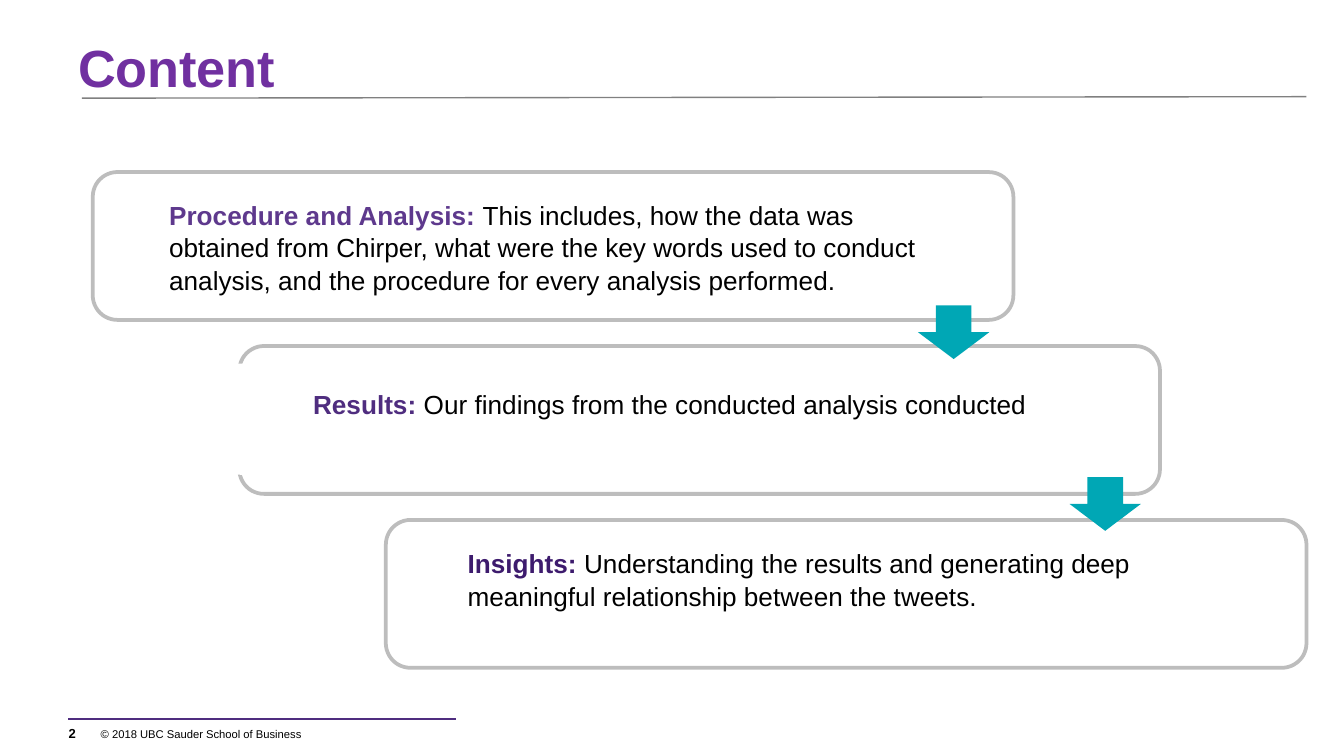
from dataclasses import dataclass

from lxml.etree import SubElement
from pptx import Presentation
from pptx.dml.color import RGBColor
from pptx.enum.shapes import MSO_CONNECTOR as Connector
from pptx.enum.shapes import MSO_SHAPE as Preset
from pptx.enum.text import MSO_ANCHOR as Anchor
from pptx.enum.text import MSO_AUTO_SIZE as AutoSize
from pptx.enum.text import PP_ALIGN as Align
from pptx.oxml.ns import qn
from pptx.util import Pt

FONT = "Arial"
BLACK, WHITE = "000000", "FFFFFF"
CARD_LEFT, CARD_TOP = 49.7, 92.2
CARD_STEP_X, CARD_STEP_Y = 78.5, 93.2
CARD_WIDTH, CARD_HEIGHT = 493.2, 79.2


@dataclass
class Box:
    left: float
    top: float
    width: float
    height: float

    def lengths(self):
        return [Pt(value) for value in (self.left, self.top, self.width, self.height)]


@dataclass
class Span:
    text: str
    size: float
    color: str = BLACK
    bold: bool = False


@dataclass
class Card:
    heading: Span
    body: Span
    text_box: Box


@dataclass
class Rule:
    start: tuple
    end: tuple
    color: str
    width: float


CARDS = [
    Card(Span("Procedure and Analysis: ", 14, "5E398D", True),
         Span("This includes, how the data was obtained from Chirper, what were the key words "
              "used to conduct analysis, and the procedure for every analysis performed.", 14),
         Box(83.5, 102.2, 437.8, 58.3)),
    Card(Span("Results:", 14, "4F2D7F", True),
         Span(" Our findings from the conducted analysis conducted", 14),
         Box(160.6, 203.8, 437.8, 24.5)),
    Card(Span("Insights: ", 14, "3D1B6D", True),
         Span("Understanding the results and generating deep meaningful relationship "
              "between the tweets.", 14),
         Box(243.4, 288.7, 437.8, 41)),
]
RULES = [
    Rule((36.7, 385.2), (244.1, 385.2), "4F2D7F", 1.5),
    Rule((43.9, 52.6), (699.8, 51.8), "808080", 0.75),
]
ARROWS = [Box(491.8, 163.6, 38.2, 28.8), Box(573, 255.6, 38.2, 28.8)]


def rgb(color: str) -> RGBColor:
    return RGBColor.from_string(color)


def apply_format(target, values: dict) -> None:
    for name, value in values.items():
        setattr(target, name, value)


def write_text(shape, spans: list, margins: tuple, spacing: float = 1.05) -> None:
    left, top, right, bottom = (Pt(margin) for margin in margins)
    apply_format(shape.text_frame, {
        "word_wrap": True, "auto_size": AutoSize.NONE, "vertical_anchor": Anchor.TOP,
        "margin_left": left, "margin_top": top,
        "margin_right": right, "margin_bottom": bottom,
    })
    paragraph = shape.text_frame.paragraphs[0]
    apply_format(paragraph, {"alignment": Align.LEFT, "line_spacing": spacing,
                             "space_before": Pt(0)})
    for span in spans:
        run = paragraph.add_run()
        run.text = span.text
        apply_format(run.font, {"name": FONT, "size": Pt(span.size), "bold": span.bold})
        run.font.color.rgb = rgb(span.color)


def add_text(slide, box: Box, spans: list, margins: tuple, spacing: float = 1.05) -> None:
    write_text(slide.shapes.add_textbox(*box.lengths()), spans, margins, spacing)


def add_preset(slide, preset: Preset, box: Box, fill: str, line: str = "") -> None:
    shape = slide.shapes.add_shape(preset, *box.lengths())
    shape.shadow.inherit = False
    shape.fill.solid()
    shape.fill.fore_color.rgb = rgb(fill)
    if line:
        shape.line.color.rgb = rgb(line)
        shape.line.width = Pt(2)
    else:
        shape.line.fill.background()


def add_rule(slide, rule: Rule) -> None:
    ends = [Pt(value) for value in (*rule.start, *rule.end)]
    connector = slide.shapes.add_connector(Connector.STRAIGHT, *ends)
    connector.line.color.rgb = rgb(rule.color)
    connector.line.width = Pt(rule.width)
    SubElement(connector.element.spPr, qn("a:effectLst"))


def add_card(slide, index: int, card: Card) -> None:
    outline = Box(CARD_LEFT + index * CARD_STEP_X, CARD_TOP + index * CARD_STEP_Y,
                  CARD_WIDTH, CARD_HEIGHT)
    add_preset(slide, Preset.ROUNDED_RECTANGLE, outline, WHITE, "BDBDBD")
    add_text(slide, card.text_box, [card.heading, card.body], (7.2, 3.6, 7.2, 3.6))


def main() -> None:
    presentation = Presentation()
    apply_format(presentation, {"slide_width": Pt(720), "slide_height": Pt(405)})
    slide = presentation.slides.add_slide(presentation.slide_layouts[5])

    title = slide.shapes.title
    apply_format(title, dict(zip(("left", "top", "width", "height"),
                                 Box(41.8, 17.3, 648.7, 82.1).lengths())))
    write_text(title, [Span("Content", 28, "7030A0", True)], (0, 0, 0, 0))

    for rule in RULES:
        add_rule(slide, rule)
    footer_margins = (0, 3.6, 0, 3.6)
    add_text(slide, Box(54, 385.9, 190.1, 14.4),
             [Span("© 2018 UBC Sauder School of Business", 6)], footer_margins, 1.0)
    add_text(slide, Box(36.7, 385.2, 13, 16.6), [Span("2", 7, bold=True)], footer_margins, 1.0)

    for index, card in enumerate(CARDS):
        add_card(slide, index, card)
    add_preset(slide, Preset.OVAL, Box(100.8, 195.8, 57.6, 57.6), WHITE, WHITE)
    for arrow in ARROWS:
        add_preset(slide, Preset.DOWN_ARROW, arrow, "00A7B5")

    presentation.save("out.pptx")


if __name__ == "__main__":
    main()
